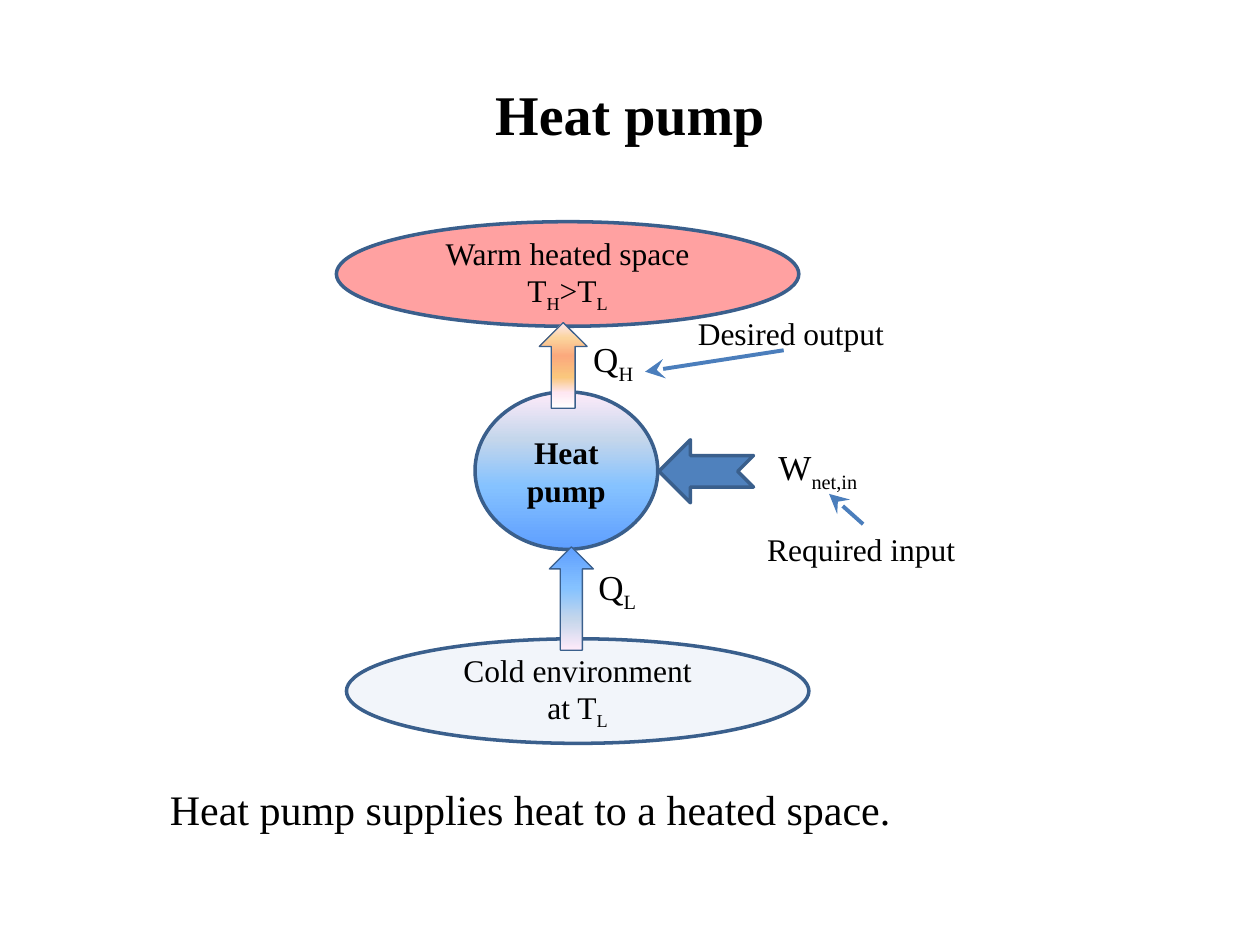
import pptx
import pptx.dml.color
import pptx.enum.dml
import pptx.enum.shapes
import pptx.enum.text
import pptx.oxml
import pptx.oxml.ns
import pptx.util

RGBColor = pptx.dml.color.RGBColor
Pt = pptx.util.Pt
Shape = pptx.enum.shapes.MSO_SHAPE
Align = pptx.enum.text.PP_ALIGN
Anchor = pptx.enum.text.MSO_ANCHOR
qn = pptx.oxml.ns.qn

BLACK = RGBColor(0, 0, 0)
RED = RGBColor(0xFF, 0, 0)
PALE_BLUE = RGBColor(0xDC, 0xE6, 0xF2)
BLUE = RGBColor(0x4F, 0x81, 0xBD)
OUTLINE = RGBColor(0x3A, 0x5F, 0x8C)
POINTER = RGBColor(0x4B, 0x7E, 0xBC)
PALE_PINK = RGBColor(0xFE, 0xE7, 0xF2)

COOL = [(0, RGBColor(0x5E, 0x9E, 0xFF)), (40, RGBColor(0x85, 0xC2, 0xFF)),
        (70, RGBColor(0xC4, 0xD6, 0xEB)), (100, RGBColor(0xFF, 0xEB, 0xFA))]
WARM = [(0, RGBColor(0xFF, 0xFF, 0xFF)), (18, PALE_PINK),
        (36, RGBColor(0xFA, 0xC7, 0x7D)), (61, RGBColor(0xFB, 0xA9, 0x7D)),
        (82, RGBColor(0xFB, 0xD4, 0x9C)), (100, PALE_PINK)]

FONT = "Times New Roman"
COLUMNS, ROWS = 100, 75


def write(frame, text, size=18, bold=False, align=Align.LEFT):
    """One paragraph per line; every second part between bars is a subscript."""
    for number, line in enumerate(text.split("\n")):
        para = frame.add_paragraph() if number else frame.paragraphs[0]
        para.alignment = align
        for index, part in enumerate(line.split("|")):
            if not part:
                continue
            span = para.add_run()
            span.text = part
            span.font.name = FONT
            span.font.size = Pt(size)
            span.font.bold = bold
            span.font.color.rgb = BLACK
            if index % 2:
                span._r.get_or_add_rPr().set("baseline", "-25000")


def element(tag, **attributes):
    node = pptx.oxml.parse_xml(f"<a:{tag} {pptx.oxml.ns.nsdecls('a')}/>")
    for name, value in attributes.items():
        node.set(name, str(value))
    return node


class Diagram:
    def __init__(self):
        self.deck = pptx.Presentation()
        self.deck.slide_width = pptx.util.Inches(10)
        self.deck.slide_height = pptx.util.Inches(7.5)
        self.page = self.deck.slides.add_slide(self.deck.slide_layouts[6])

    def spot(self, column, row):
        return (round(self.deck.slide_width * column / COLUMNS),
                round(self.deck.slide_height * row / ROWS))

    def label(self, column, row, width, height, text, wrap=False, **style):
        box = self.page.shapes.add_textbox(
            *self.spot(column, row), *self.spot(width, height))
        box.text_frame.word_wrap = wrap
        write(box.text_frame, text, **style)

    def shape(self, kind, column, row, width, height, fill,
              text="", line=2, angle=270, opacity=None, turn=0, **style):
        shape = self.page.shapes.add_shape(
            kind, *self.spot(column, row), *self.spot(width, height))
        shape.shadow.inherit = False
        shape.rotation = turn
        shape.line.color.rgb = OUTLINE
        shape.line.width = Pt(line)
        if isinstance(fill, list):
            self.blend(shape, fill, angle)
        else:
            shape.fill.solid()
            shape.fill.fore_color.rgb = fill
        if opacity is not None:
            color = shape.fill._xPr.find(qn("a:solidFill"))[0]
            color.append(element("alpha", val=opacity * 1000))
        if text:
            frame = shape.text_frame
            frame.margin_left = frame.margin_right = 0
            frame.margin_top = frame.margin_bottom = 0
            frame.word_wrap = True
            frame.vertical_anchor = Anchor.MIDDLE
            write(frame, text, align=Align.CENTER, **style)

    def blend(self, shape, stops, angle):
        shape.fill.gradient()
        gradient = shape._element.spPr.find(qn("a:gradFill"))
        for child in list(gradient):
            gradient.remove(child)
        stop_list = element("gsLst")
        for place, color in stops:
            stop = element("gs", pos=place * 1000)
            stop.append(element("srgbClr", val=color))
            stop_list.append(stop)
        gradient.append(stop_list)
        gradient.append(element("lin", ang=angle * 60000, scaled=0))

    def pointer(self, start, end):
        line = self.page.shapes.add_connector(
            pptx.enum.shapes.MSO_CONNECTOR.STRAIGHT,
            *self.spot(*start), *self.spot(*end))
        line.line.color.rgb = POINTER
        line.line.width = Pt(2.25)
        line.line._get_or_add_ln().append(
            element("tailEnd", type="stealth", w="lg", len="lg"))
        line._element.spPr.append(element("effectLst"))


diagram = Diagram()

# Title
diagram.label(5, 5.8, 90, 9.7, "Heat pump", wrap=True, size=32, bold=True,
              align=Align.CENTER)

# Warm and cold reservoirs
for column, row, fill, text in [
        (26.7, 17.6, RED, "Warm heated space\nT|H|>T|L"),
        (27.5, 50.7, PALE_BLUE, "Cold environment\nat T|L")]:
    diagram.shape(Shape.OVAL, column, row, 36.7, 8.3, fill, text, opacity=37)

# Work arrow and pump
diagram.shape(Shape.NOTCHED_RIGHT_ARROW, 52.3, 34.9, 7.5, 5, BLUE, turn=180)
diagram.shape(Shape.FLOWCHART_CONNECTOR, 37.7, 31.1, 14.5, 12.5, COOL,
              "Heat pump", bold=True)

# Symbols
for column, row, width, text in [(46.1, 26.3, 7.5, "Q|H"),
                                 (46.5, 44.4, 5.3, "Q|L"),
                                 (60.8, 34.9, 8.9, "W|net,in")]:
    diagram.label(column, row, width, 4.4, text, size=20)

# Summary and captions
diagram.label(12.5, 61.7, 80.8, 5, "Heat pump supplies heat to a heated space.",
              wrap=True, size=24)
diagram.label(59.9, 41.6, 17.1, 4, "Required input")
diagram.label(54.4, 24.4, 17, 4, "Desired output")

# Heat flows
diagram.shape(Shape.UP_ARROW, 43.6, 43.4, 3.5, 8.2, COOL, line=0.75, angle=90)
diagram.shape(Shape.UP_ARROW, 42.8, 25.6, 3.8, 6.8, WARM, line=0.75)

# Pointers from captions to symbols
diagram.pointer((68.5, 41.6), (65.8, 39.2))
diagram.pointer((62.2, 27.8), (51.2, 29.5))

diagram.deck.save("out.pptx")
